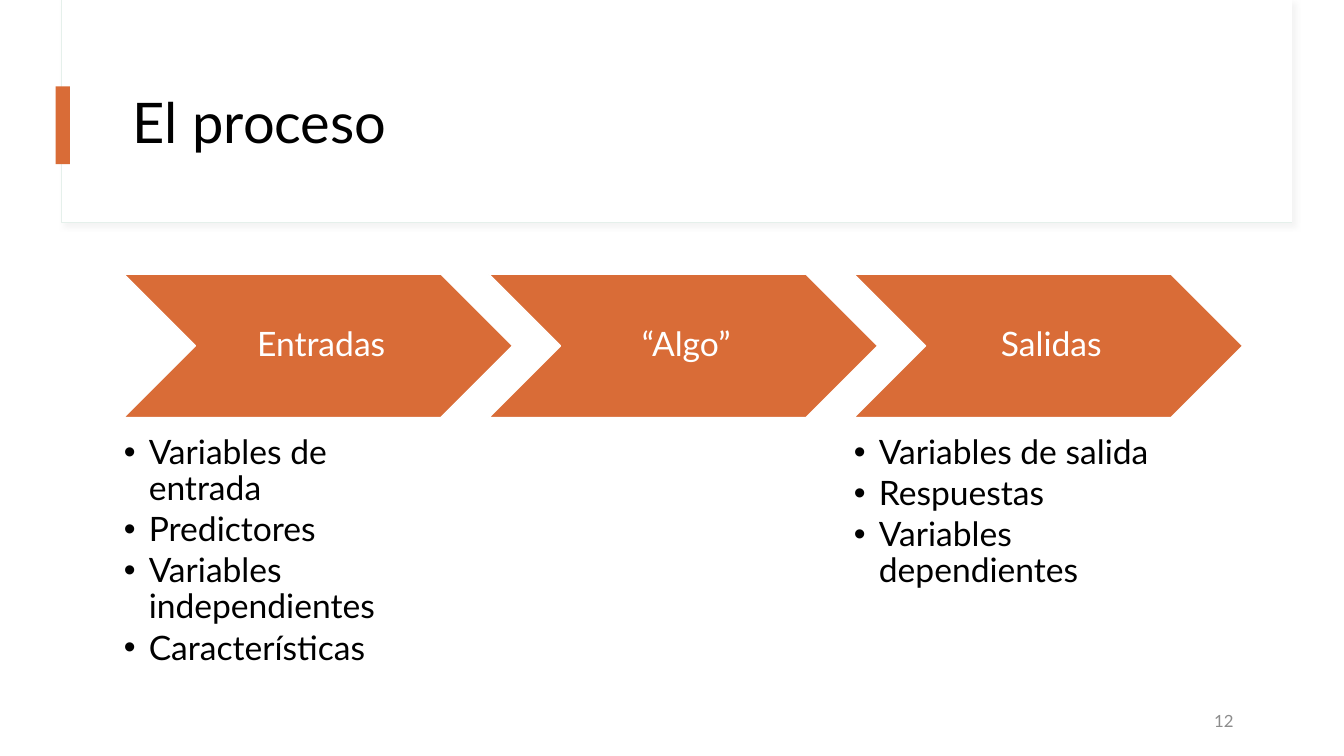
"""Build the slide "El proceso": three chevron stages with their bullet lists."""
from dataclasses import dataclass

from lxml.etree import SubElement
from pptx import Presentation
from pptx.dml.color import RGBColor
from pptx.enum.shapes import MSO_SHAPE
from pptx.enum.text import MSO_ANCHOR, PP_ALIGN
from pptx.oxml.ns import qn
from pptx.shapes.autoshape import Shape
from pptx.slide import Slide
from pptx.text.text import TextFrame, _Paragraph
from pptx.util import Cm, Pt

FONT = "Lato"
ORANGE, WHITE, BLACK, GREY = "D96C37", "FFFFFF", "000000", "8C8C8C"
HEADER_EDGE, HEADER_SHADOW = "E5F0EB", "D9D9D9"

FIRST_LEFT, STAGE_PITCH = 3.12, 9.2
CHEVRON_TOP, CHEVRON_WIDTH, CHEVRON_HEIGHT = 6.91, 9.8, 3.61
LIST_TOP, LIST_WIDTH, LIST_HEIGHT = 10.97, 7.85, 6.15
BULLET_INDENT = 0.63


@dataclass(frozen=True)
class Box:
    """Place and size in centimetres."""
    left: float
    top: float
    width: float
    height: float

    def lengths(self) -> tuple[Cm, Cm, Cm, Cm]:
        """Return the four measures as lengths."""
        return Cm(self.left), Cm(self.top), Cm(self.width), Cm(self.height)


@dataclass(frozen=True)
class Stage:
    """One step of the process and the terms listed below it."""
    name: str
    terms: tuple[str, ...] = ()


STAGES = (
    Stage("Entradas", ("Variables de entrada", "Predictores",
                       "Variables independientes", "Características")),
    Stage("“Algo”"),
    Stage("Salidas", ("Variables de salida", "Respuestas", "Variables dependientes")),
)


def colour(code: str) -> RGBColor:
    """Turn a hex string into a colour."""
    return RGBColor.from_string(code)


def add_block(slide: Slide, kind: MSO_SHAPE, box: Box, fill: str,
              edge: str | None = None, edge_width: float = 1) -> Shape:
    """Draw a filled preset shape, outlined if an edge colour is given."""
    block = slide.shapes.add_shape(kind, *box.lengths())
    block.shadow.inherit = False
    block.fill.solid()
    block.fill.fore_color.rgb = colour(fill)
    if edge:
        block.line.color.rgb = colour(edge)
        block.line.width = Pt(edge_width)
    else:
        block.line.fill.background()
    return block


def add_soft_shadow(block: Shape, shade: str) -> None:
    """Give a shape a faint shadow towards the lower right."""
    effects = block._element.spPr.find(qn("a:effectLst"))
    shadow = SubElement(effects, qn("a:outerShdw"), blurRad=str(Pt(4)),
                        dist=str(Pt(3)), dir="2700000", algn="tl", rotWithShape="0")
    tint = SubElement(shadow, qn("a:srgbClr"), val=shade)
    SubElement(tint, qn("a:alpha"), val="30000")


def add_text_area(slide: Slide, box: Box, anchor: MSO_ANCHOR) -> TextFrame:
    """Add a wrapping text box and return its frame."""
    frame = slide.shapes.add_textbox(*box.lengths()).text_frame
    frame.word_wrap = True
    frame.vertical_anchor = anchor
    return frame


def set_margins(frame: TextFrame, left: float, others: float) -> None:
    """Set the inner margins in centimetres."""
    frame.margin_left = Cm(left)
    frame.margin_top = frame.margin_right = frame.margin_bottom = Cm(others)


def write(paragraph: _Paragraph, words: str, size: float, ink: str,
          align: PP_ALIGN = PP_ALIGN.LEFT, spacing: float = 0.9) -> None:
    """Add one formatted run to a paragraph."""
    paragraph.alignment = align
    paragraph.line_spacing = spacing
    run = paragraph.add_run()
    run.text = words
    run.font.name = FONT
    run.font.size = Pt(size)
    run.font.color.rgb = colour(ink)


def add_bullet(paragraph: _Paragraph) -> None:
    """Give a paragraph a round bullet with a hanging indent."""
    properties = paragraph._p.get_or_add_pPr()
    properties.set("marL", str(Cm(BULLET_INDENT)))
    properties.set("indent", str(-Cm(BULLET_INDENT)))
    SubElement(properties, qn("a:buFont"), typeface="Arial")
    SubElement(properties, qn("a:buChar"), char="•")


def add_header(slide: Slide, title: str) -> None:
    """Draw the header panel, its accent bar and the title."""
    panel = add_block(slide, MSO_SHAPE.RECTANGLE, Box(1.55, 0, 31.01, 5.61),
                      WHITE, HEADER_EDGE, 0.75)
    add_soft_shadow(panel, HEADER_SHADOW)
    add_block(slide, MSO_SHAPE.RECTANGLE, Box(1.57, 0, 30.99, 5.59), WHITE)
    add_block(slide, MSO_SHAPE.RECTANGLE, Box(1.4, 2.18, 0.36, 1.96), ORANGE)
    heading = add_text_area(slide, Box(3.1, 1.52, 28.24, 3.28), MSO_ANCHOR.MIDDLE)
    write(heading.paragraphs[0], title, 40, BLACK)


def add_stage(slide: Slide, stage: Stage, left: float) -> None:
    """Draw a stage chevron and the terms below it."""
    chevron = add_block(slide, MSO_SHAPE.CHEVRON,
                        Box(left, CHEVRON_TOP, CHEVRON_WIDTH, CHEVRON_HEIGHT),
                        ORANGE, WHITE)
    label = chevron.text_frame
    label.word_wrap = True
    label.vertical_anchor = MSO_ANCHOR.MIDDLE
    set_margins(label, 0.25, 0.1)
    write(label.paragraphs[0], stage.name, 24, WHITE, PP_ALIGN.CENTER)
    if not stage.terms:
        return
    terms = add_text_area(slide, Box(left, LIST_TOP, LIST_WIDTH, LIST_HEIGHT),
                          MSO_ANCHOR.TOP)
    set_margins(terms, 0, 0)
    for index, term in enumerate(stage.terms):
        paragraph = terms.add_paragraph() if index else terms.paragraphs[0]
        paragraph.level = 1
        paragraph.space_after = Pt(3.4)
        write(paragraph, term, 24, BLACK)
        add_bullet(paragraph)


def main() -> None:
    """Build and save the presentation."""
    presentation = Presentation()
    presentation.slide_width, presentation.slide_height = Cm(33.87), Cm(19.05)
    slide = presentation.slides.add_slide(presentation.slide_layouts[6])
    add_header(slide, "El proceso")
    for index, stage in enumerate(STAGES):
        add_stage(slide, stage, FIRST_LEFT + index * STAGE_PITCH)
    page_number = add_text_area(slide, Box(23.72, 17.65, 7.62, 1.02), MSO_ANCHOR.MIDDLE)
    write(page_number.paragraphs[0], "12", 12, GREY, PP_ALIGN.RIGHT, 1.0)
    presentation.save("out.pptx")


if __name__ == "__main__":
    main()
